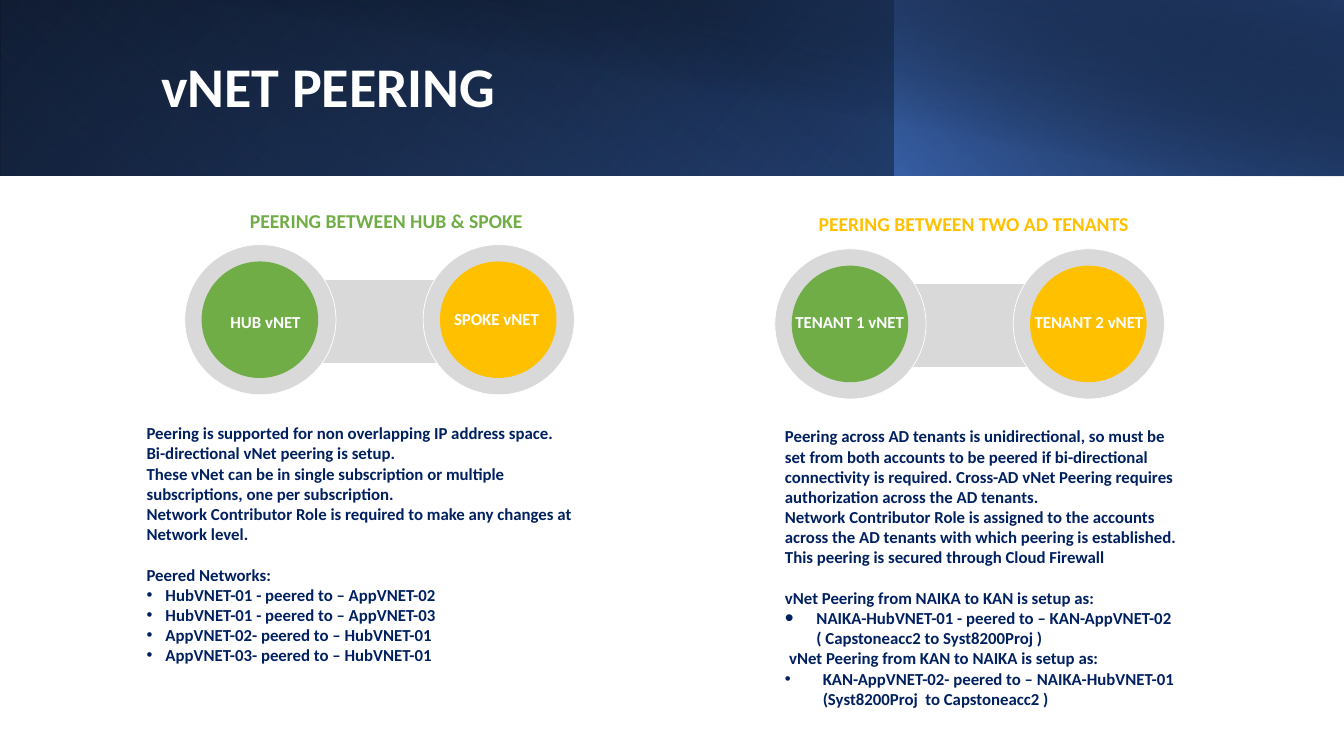
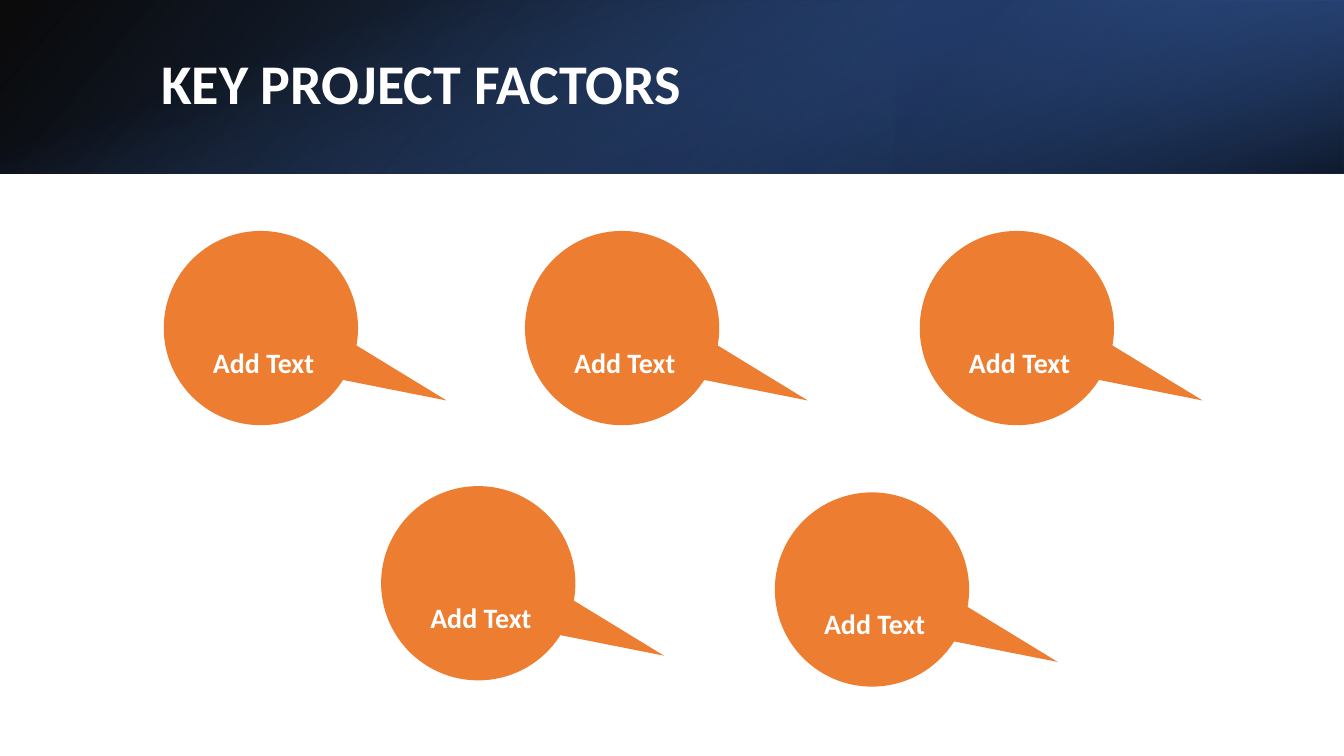
from dataclasses import dataclass

from lxml.etree import SubElement
from pptx import Presentation
from pptx.dml.color import RGBColor
from pptx.enum.shapes import MSO_SHAPE
from pptx.enum.text import MSO_ANCHOR, MSO_AUTO_SIZE, PP_ALIGN
from pptx.oxml.ns import qn
from pptx.util import Emu, Pt

PAGE_WIDTH, PAGE_HEIGHT = 1280, 720
FONT = "Calibri"
WHITE, BLACK, NAVY = "FFFFFF", "000000", "002060"
GREEN, AMBER, ORANGE, GREY = "70AD47", "FFC000", "ED7D31", "D9D9D9"
BLUE, DEEP_BLUE, ROYAL = "4472C4", "203864", "2F5597"
TWO_CONTENT, TITLE_ONLY = 3, 5
BLOCK_GAP = 14.6


@dataclass
class Line:
    text: str
    indent: int = 0
    bullet: bool = False
    bullet_percent: int = 100
    before: float = 0


def px(length):
    return Emu(length * 9525)


def color(value):
    return RGBColor.from_string(value)


def place(shape, box):
    shape.left, shape.top, shape.width, shape.height = map(px, box)


def set_bullet(para, line):
    """Set indent and bullet, overriding those of the placeholder."""
    properties = para._p.get_or_add_pPr()
    properties.set("marL", str(px(line.indent)))
    properties.set("indent", str(-px(line.indent) if line.bullet else 0))
    if not line.bullet:
        SubElement(properties, qn("a:buNone"))
        return
    SubElement(properties, qn("a:buSzPct"), val=str(line.bullet_percent * 1000))
    SubElement(properties, qn("a:buFont"), typeface="Arial")
    SubElement(properties, qn("a:buChar"), char="•")


def write(shape, lines, size=12, ink=WHITE, align=PP_ALIGN.LEFT,
          anchor=MSO_ANCHOR.TOP, spacing=1.0):
    frame = shape.text_frame
    frame.word_wrap = True
    frame.auto_size = MSO_AUTO_SIZE.NONE
    frame.vertical_anchor = anchor
    for index, line in enumerate(lines):
        para = frame.add_paragraph() if index else frame.paragraphs[0]
        para.alignment = align
        para.line_spacing = spacing
        para.space_before = Pt(line.before)
        set_bullet(para, line)
        span = para.add_run()
        span.text = line.text
        span.font.name = FONT
        span.font.size = Pt(size)
        span.font.bold = True
        span.font.color.rgb = color(ink)


def add_text(page, box, text, **style):
    write(page.shapes.add_textbox(*map(px, box)), [Line(text)], **style)


def add_shape(page, kind, box, fill=None, line=None):
    shape = page.shapes.add_shape(kind, *map(px, box))
    shape.shadow.inherit = False
    if fill:
        shape.fill.solid()
        shape.fill.fore_color.rgb = color(fill)
    else:
        shape.fill.background()
    if line:
        shape.line.color.rgb = color(line)
        shape.line.width = Pt(0.5)
    else:
        shape.line.fill.background()
    return shape


def add_gradient(page, box, stops, angle, flip=True, rotation=0):
    """Add a rectangle shaded by (position, color, opacity) stops in percent."""
    shape = add_shape(page, MSO_SHAPE.RECTANGLE, box)
    shape.rotation = rotation
    properties = shape.element.spPr
    if flip:
        properties.find(qn("a:xfrm")).set("flipH", "1")
    empty_fill = properties.find(qn("a:noFill"))
    gradient = SubElement(properties, qn("a:gradFill"), rotWithShape="1")
    properties.replace(empty_fill, gradient)
    stop_list = SubElement(gradient, qn("a:gsLst"))
    for position, shade, opacity in stops:
        stop = SubElement(stop_list, qn("a:gs"), pos=str(position * 1000))
        tint = SubElement(stop, qn("a:srgbClr"), val=shade)
        SubElement(tint, qn("a:alpha"), val=str(opacity * 1000))
    SubElement(gradient, qn("a:lin"), ang=str(angle * 60000), scaled="0")


def add_title(page, box, text):
    """Fill the title placeholder and bring it in front of the band."""
    title = page.shapes.title
    place(title, box)
    write(title, [Line(text)], size=40, anchor=MSO_ANCHOR.MIDDLE, spacing=0.9)
    title.element.getparent().append(title.element)


def add_dumbbell(page, left, top, labels):
    """Draw two ringed discs joined by a bar; labels are (text, x, y, width)."""
    add_shape(page, MSO_SHAPE.RECTANGLE, (left + 121, top + 33, 135, 80), GREY, WHITE)
    for x, fill in ((left, GREEN), (left + 227, AMBER)):
        add_shape(page, MSO_SHAPE.OVAL, (x, top, 144, 143), GREY, WHITE)
        add_shape(page, MSO_SHAPE.OVAL, (x + 16, top + 16, 111, 111), fill)
    for text, x, y, width in labels:
        add_text(page, (left + x, top + y, width, 30), text)


def add_callout(page, left, top):
    bubble = add_shape(page, MSO_SHAPE.OVAL_CALLOUT, (left, top, 185, 185), ORANGE)
    bubble.adjustments[0] = 1.01
    bubble.adjustments[1] = -0.18
    bubble.rotation = 31.4
    add_text(page, (left + 17, top + 104, 156, 42), "Add Text",
             size=20, align=PP_ALIGN.CENTER)


def build_peering(deck):
    page = deck.slides.add_slide(deck.slide_layouts[TWO_CONTENT])
    height, split = 167, 852
    add_gradient(page, (0, 0, PAGE_WIDTH, height),
                 [(0, BLACK, 100), (100, ROYAL, 100)], 140)
    add_gradient(page, (0, 0, split, height),
                 [(20, BLUE, 0), (100, DEEP_BLUE, 55)], 230, rotation=180)
    add_gradient(page, (split, 0, PAGE_WIDTH - split, height),
                 [(0, BLUE, 66), (100, BLACK, 30)], 220)
    add_gradient(page, (48, 0, PAGE_WIDTH - 48, height + 1),
                 [(50, BLACK, 0), (99, DEEP_BLUE, 52)], 280, flip=False)
    add_title(page, (144, 31, 816, 108), "vNET PEERING")

    add_text(page, (216, 194, 304, 33), "PEERING BETWEEN HUB & SPOKE",
             size=14, ink=GREEN, align=PP_ALIGN.CENTER)
    add_text(page, (753, 197, 349, 33), "PEERING BETWEEN TWO AD TENANTS",
             size=14, ink=AMBER, align=PP_ALIGN.CENTER)
    add_dumbbell(page, 176, 233, [("HUB vNET", 34, 59, 92),
                                  ("SPOKE vNET", 247, 56, 104)])
    add_dumbbell(page, 738, 237, [("TENANT 1 vNET", 10, 55, 135),
                                  ("TENANT 2 vNET", 238, 55, 135)])

    networks = ("HubVNET-01 - peered to – AppVNET-02",
                "HubVNET-01 - peered to – AppVNET-03",
                "AppVNET-02- peered to – HubVNET-01",
                "AppVNET-03- peered to – HubVNET-01")
    hub_notes = [
        Line("Peering is supported for non overlapping IP address space."),
        Line("Bi-directional vNet peering is setup."),
        Line("These vNet can be in single subscription or multiple "
             "subscriptions, one per subscription."),
        Line("Network Contributor Role is required to make any changes at "
             "Network level."),
        Line("Peered Networks:", before=BLOCK_GAP),
        *(Line(network, indent=18, bullet=True) for network in networks),
    ]
    tenant_notes = [
        Line("Peering across AD tenants is unidirectional, so must be set from "
             "both accounts to be peered if bi-directional connectivity is "
             "required. Cross-AD vNet Peering requires authorization across "
             "the AD tenants."),
        Line("Network Contributor Role is assigned to the accounts across the "
             "AD tenants with which peering is established."),
        Line("This peering is secured through Cloud Firewall"),
        Line("vNet Peering from NAIKA to KAN is setup as:", before=BLOCK_GAP),
        Line("NAIKA-HubVNET-01 - peered to – KAN-AppVNET-02 "
             "( Capstoneacc2 to Syst8200Proj )",
             indent=30, bullet=True, bullet_percent=150),
        Line("vNet Peering from KAN to NAIKA is setup as:", indent=4),
        Line("KAN-AppVNET-02- peered to – NAIKA-HubVNET-01 "
             "(Syst8200Proj  to Capstoneacc2 )", indent=36, bullet=True),
    ]
    for number, box, notes in ((1, (130, 398, 446, 281), hub_notes),
                               (2, (738, 401, 404, 300), tenant_notes)):
        body = page.placeholders[number]
        place(body, box)
        write(body, notes, ink=NAVY)


def build_factors(deck):
    page = deck.slides.add_slide(deck.slide_layouts[TITLE_ONLY])
    height, split = 165, 853
    add_gradient(page, (0, 0, PAGE_WIDTH, height),
                 [(0, BLACK, 96), (100, ROYAL, 100)], 140)
    add_gradient(page, (split, 0, PAGE_WIDTH - split, height),
                 [(19, DEEP_BLUE, 68), (100, BLUE, 79)], 320, rotation=180)
    offset = (PAGE_WIDTH - height) // 2
    add_gradient(page, (offset, -offset, height, PAGE_WIDTH),
                 [(23, BLUE, 0), (99, BLACK, 74)], 340, flip=False, rotation=90)
    add_title(page, (144, 36, 1054, 92), "KEY PROJECT FACTORS")
    for left, top in ((156, 220), (500, 220), (876, 220), (363, 463), (738, 469)):
        add_callout(page, left, top)


def main():
    deck = Presentation()
    deck.slide_width, deck.slide_height = px(PAGE_WIDTH), px(PAGE_HEIGHT)
    build_peering(deck)
    build_factors(deck)
    deck.save("out.pptx")


if __name__ == "__main__":
    main()
